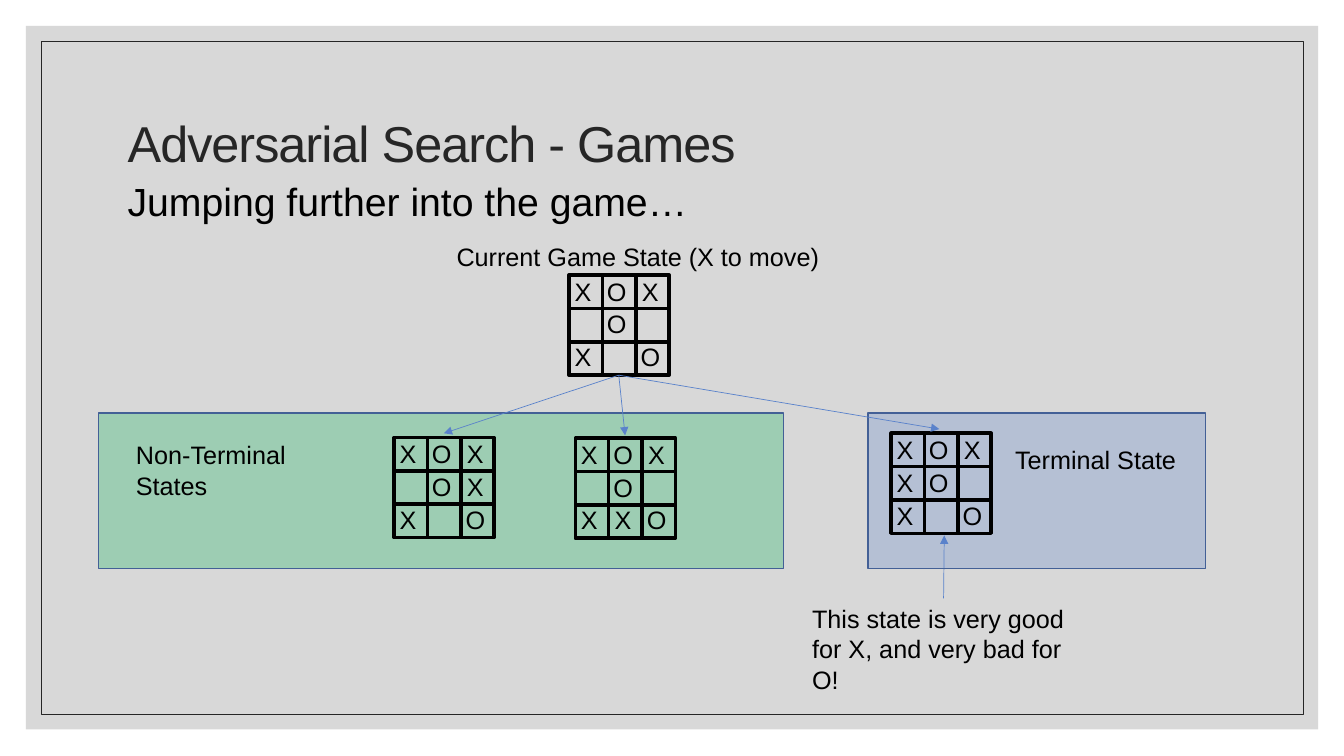
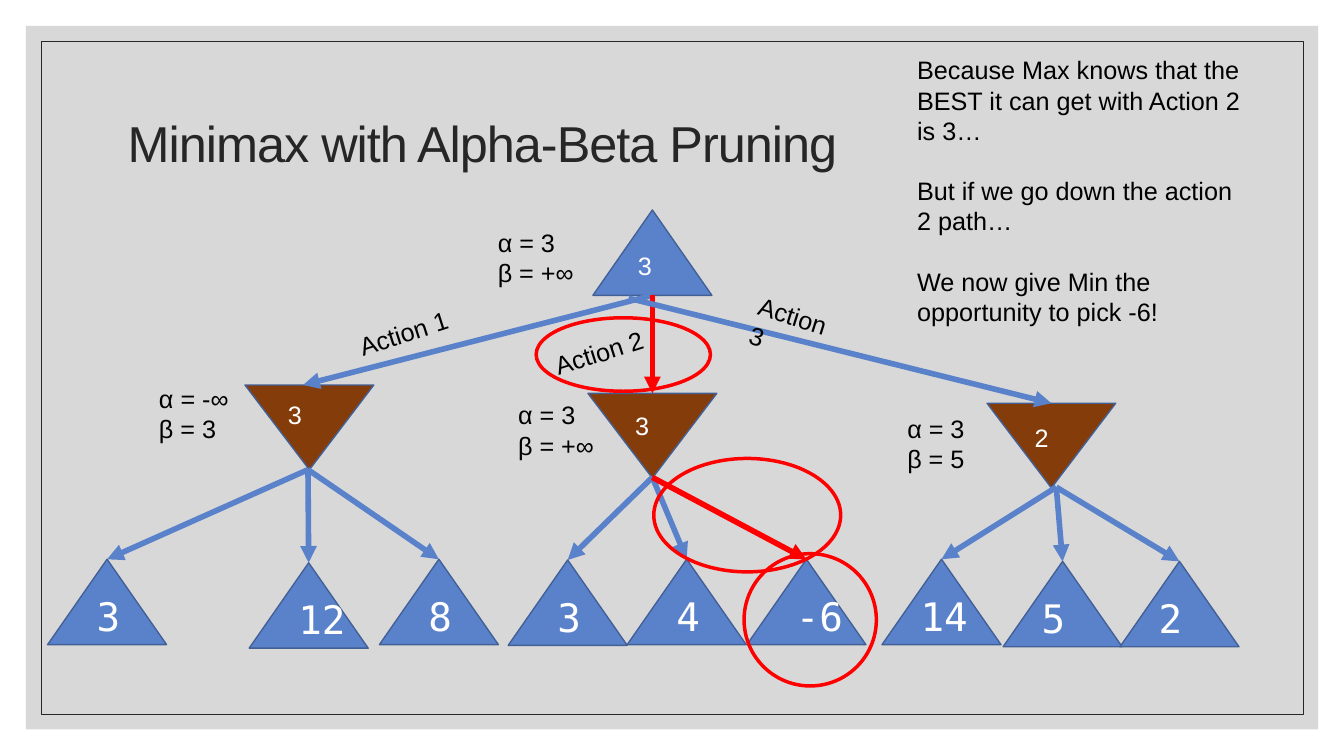
"""Build two slides on adversarial search: game states and alpha-beta pruning."""
from lxml.etree import SubElement
from pptx import Presentation
from pptx.dml.color import RGBColor
from pptx.enum.shapes import MSO_CONNECTOR, MSO_SHAPE
from pptx.enum.text import MSO_ANCHOR, MSO_AUTO_SIZE, PP_ALIGN
from pptx.oxml.ns import qn
from pptx.util import Pt

BLUE, EDGE, BROWN, RED = "5A82CB", "436096", "843C0B", "FF0000"
BLACK, WHITE, INK, GREY, GREEN = "000000", "FFFFFF", "262626", "BFBFBF", "00B050"
SANS, MONO = "Arial", "DejaVu Sans Mono"
BOARD, CELLS = 71.5, 3
LEAF_SIZE, MIN_SIZE = (85, 61), (92, 60.5)


def rgb(value):
    """Turn a hex string into a colour."""
    return RGBColor.from_string(value)


def apply(target, formats):
    """Set every attribute named in a dict of format values."""
    for name, value in formats.items():
        setattr(target, name, value)


def place(shape, left, top, width, height):
    """Move and size a shape, in points."""
    apply(shape, {"left": Pt(left), "top": Pt(top), "width": Pt(width), "height": Pt(height)})


def style_font(font, size=18, color=BLACK, name=SANS):
    """Set the size, face and colour of a font."""
    apply(font, {"size": Pt(size), "name": name})
    font.color.rgb = rgb(color)


def add_shape(page, kind, bounds, fill=None, alpha=None, line=None, weight=1.0, rotation=0):
    """Add a preset shape with an optional fill, transparency and outline."""
    shape = page.shapes.add_shape(kind, *map(Pt, bounds))
    shape.shadow.inherit = False
    shape.rotation = rotation
    if fill:
        shape.fill.solid()
        shape.fill.fore_color.rgb = rgb(fill)
    else:
        shape.fill.background()
    if alpha:
        color = shape.element.spPr.find(f".//{qn('a:srgbClr')}")
        SubElement(color, qn("a:alpha"), val=str(alpha * 1000))
    if line:
        shape.line.color.rgb = rgb(line)
        shape.line.width = Pt(weight)
    else:
        shape.line.fill.background()
    return shape


def add_line(page, start, end, color=BLUE, weight=4.0, arrow=True):
    """Add a straight line, with an arrowhead at its end if wanted."""
    line = page.shapes.add_connector(MSO_CONNECTOR.STRAIGHT, *map(Pt, (*start, *end)))
    line.line.color.rgb = rgb(color)
    line.line.width = Pt(weight)
    if arrow:
        SubElement(line.line._get_or_add_ln(), qn("a:tailEnd"), type="triangle")
    SubElement(line.element.spPr, qn("a:effectLst"))


def add_text(page, lines, bounds, gap=0, rotation=0, centred=False, **font):
    """Add a text box with one paragraph for each line; centred ones do not wrap."""
    box = page.shapes.add_textbox(*map(Pt, bounds))
    box.rotation = rotation
    frame = box.text_frame
    apply(frame, {"word_wrap": not centred, "auto_size": MSO_AUTO_SIZE.SHAPE_TO_FIT_TEXT})
    for index, line in enumerate(lines):
        para = frame.paragraphs[0] if index == 0 else frame.add_paragraph()
        para.alignment = PP_ALIGN.CENTER if centred else PP_ALIGN.LEFT
        if index and gap:
            para.space_before = Pt(gap)
        span = para.add_run()
        span.text = line
        style_font(span.font, **font)


def add_frame(deck, page):
    """Put the grey panel and its thin border on the slide master."""
    tree = deck.slide_master.shapes.element
    panel = add_shape(page, MSO_SHAPE.RECTANGLE, (18.5, 18.5, 923, 502.5), GREY, 60)
    border = add_shape(page, MSO_SHAPE.RECTANGLE, (29.5, 29.5, 901.5, 481), line=INK, weight=0.5)
    for index, shape in enumerate((panel, border)):
        shape.element.nvSpPr.cNvPr.set("id", str(100 + index))
        tree.insert(2 + index, shape.element)


def add_page(deck, layout, title):
    """Add a slide with a formatted title."""
    page = deck.slides.add_slide(deck.slide_layouts[layout])
    box = page.shapes.title
    place(box, 84, 50.5, 792, 108)
    apply(box.text_frame, {"vertical_anchor": MSO_ANCHOR.MIDDLE, "auto_size": MSO_AUTO_SIZE.NONE})
    para = box.text_frame.paragraphs[0]
    apply(para, {"alignment": PP_ALIGN.LEFT, "line_spacing": 0.9})
    span = para.add_run()
    span.text = title
    style_font(span.font, 36, INK)
    span._r.get_or_add_rPr().set("spc", "-70")
    return page


def fill_body(page, text):
    """Write one unbulleted line in the body placeholder."""
    box = page.placeholders[1]
    place(box, 84, 116.5, 744.5, 366.5)
    box.text_frame.auto_size = MSO_AUTO_SIZE.NONE
    para = box.text_frame.paragraphs[0]
    apply(para, {"line_spacing": 1.2, "space_before": Pt(0)})
    props = para._p.get_or_add_pPr()
    apply_indent = {"marL": "0", "indent": "0"}
    for name, value in apply_indent.items():
        props.set(name, value)
    SubElement(props, qn("a:buNone"))
    span = para.add_run()
    span.text = text
    style_font(span.font, 28)


def add_board(page, left, top, rows):
    """Draw a tic-tac-toe board with its marks."""
    add_shape(page, MSO_SHAPE.RECTANGLE, (left, top, BOARD, BOARD), line=BLACK, weight=2.5)
    for index in range(1, CELLS):
        step = index * BOARD / CELLS
        add_line(page, (left + step, top), (left + step, top + BOARD), BLACK, 2.5, False)
        add_line(page, (left, top + step), (left + BOARD, top + step), BLACK, 2.5, False)
    for row, marks in enumerate(rows):
        for column, mark in enumerate(marks):
            if mark != " ":
                spot = (left - 4 + 24 * column, top - 3 + 23.5 * row, 28, 29)
                add_text(page, [mark], spot, centred=True)


def add_min_node(page, left, top, value, value_spot, bounds, bounds_spot):
    """Draw a Min node with its value and its alpha and beta."""
    add_shape(page, MSO_SHAPE.ISOSCELES_TRIANGLE, (left, top, *MIN_SIZE), BROWN, line=EDGE, rotation=180)
    add_text(page, [value], (*value_spot, 24, 29), centred=True, color=WHITE)
    add_text(page, bounds, (*bounds_spot, 75, 51))


def add_leaf(page, parent, left, top, value, indent=28, color=BLUE):
    """Draw a leaf node and the arrow that leads to it."""
    add_line(page, parent, (left + LEAF_SIZE[0] / 2, top), color)
    add_shape(page, MSO_SHAPE.ISOSCELES_TRIANGLE, (left, top, *LEAF_SIZE), BLUE, line=EDGE)
    add_text(page, [value], (left + indent, top + 20, 52, 41), size=28, color=WHITE, name=MONO)


def build_games(page):
    """Fill the slide on game states."""
    fill_body(page, "Jumping further into the game…")
    add_text(page, ["This state is very good for X, and very bad for O!"], (573, 427.5, 201, 73))
    add_line(page, (674, 427.5), (674.5, 382.5), weight=0.5)
    add_shape(page, MSO_SHAPE.RECTANGLE, (620, 295, 241, 111), BLUE, 27, EDGE)
    add_text(page, ["Terminal State"], (718, 314, 132.5, 29))
    add_shape(page, MSO_SHAPE.RECTANGLE, (70.5, 295, 489, 111), GREEN, 27, EDGE)
    add_text(page, ["Non-Terminal States"], (90, 310.5, 129, 51))
    add_text(page, ["Current Game State (X to move)"], (319, 168.5, 283.5, 29))
    add_board(page, 406.5, 196.5, ("XOX", " O ", "X O"))
    next_states = (
        (281.5, 312.5, ("XOX", " OX", "X O"), (317, 309.5)),
        (411, 313, ("XOX", " O ", "XXO"), (446.5, 311)),
        (636.5, 309.5, ("XOX", "XO ", "X O"), (671, 306.5)),
    )
    for left, top, rows, arrow_end in next_states:
        add_board(page, left, top, rows)
        add_line(page, (442, 268), arrow_end, weight=0.5)


def build_pruning(page):
    """Fill the slide on alpha-beta pruning."""
    add_shape(page, MSO_SHAPE.ISOSCELES_TRIANGLE, (423.5, 150, *LEAF_SIZE), BLUE, line=EDGE)
    add_text(page, ["3"], (448.5, 175.5, 24, 29), centred=True, color=WHITE)
    add_text(page, ["α = 3", "β = +∞"], (348.5, 158.5, 75, 51))

    min_nodes = (
        ((466, 211), (216.5, 275), BLUE, 175, 275, "3", (198.5, 282), ("α = -∞", "β = 3"), (106.5, 270)),
        ((466, 211), (466, 281), RED, 420, 281, "3", (446.5, 289.5), ("α = 3", "β = +∞"), (363, 282)),
        ((449, 213), (751, 288), BLUE, 705, 288, "2", (732, 298), ("α = 3", "β = 5"), (641, 291.5)),
    )
    for start, end, color, *node in min_nodes:
        add_min_node(page, *node)
        add_line(page, start, end, color)

    families = (
        ((220, 335.5), ((34, 399.5, "3"), (178, 402, "12"), (271, 399.5, "8"))),
        ((466, 341), ((363, 400, "3"), (448, 399.5, "4"), (533.5, 399.5, "-6", 28, RED))),
        ((754.5, 348), ((630, 399.5, "14", 20.5), (716.5, 401, "5", 20.5), (800, 401, "2", 20.5))),
    )
    for parent, leaves in families:
        for leaf in leaves:
            add_leaf(page, parent, *leaf)

    actions = (
        ("Action 1", (248.5, 222.5, 85, 29), 342.3),
        ("Action 2", (388, 236, 88, 29), 342.3),
        ("Action 3", (534, 212.5, 75, 29), 17.4),
    )
    for label, bounds, rotation in actions:
        add_text(page, [label], bounds, rotation=rotation)
    remarks = (
        "Because Max knows that the BEST it can get with Action 2 is 3…",
        "But if we go down the action 2 path…",
        "We now give Min the opportunity to pick -6!",
    )
    add_text(page, remarks, (648, 35.5, 247.5, 204), gap=21.5)
    for bounds in ((383, 227, 124.5, 52.5), (467, 327.5, 133.5, 81), (531.5, 395.5, 94.5, 94.5)):
        add_shape(page, MSO_SHAPE.OVAL, bounds, line=RED, weight=2.5)


def main():
    """Build and save the deck."""
    deck = Presentation()
    apply(deck, {"slide_width": Pt(960), "slide_height": Pt(540)})
    games = add_page(deck, 1, "Adversarial Search - Games")
    add_frame(deck, games)
    build_games(games)
    build_pruning(add_page(deck, 5, "Minimax with Alpha-Beta Pruning"))
    deck.save("out.pptx")


if __name__ == "__main__":
    main()
